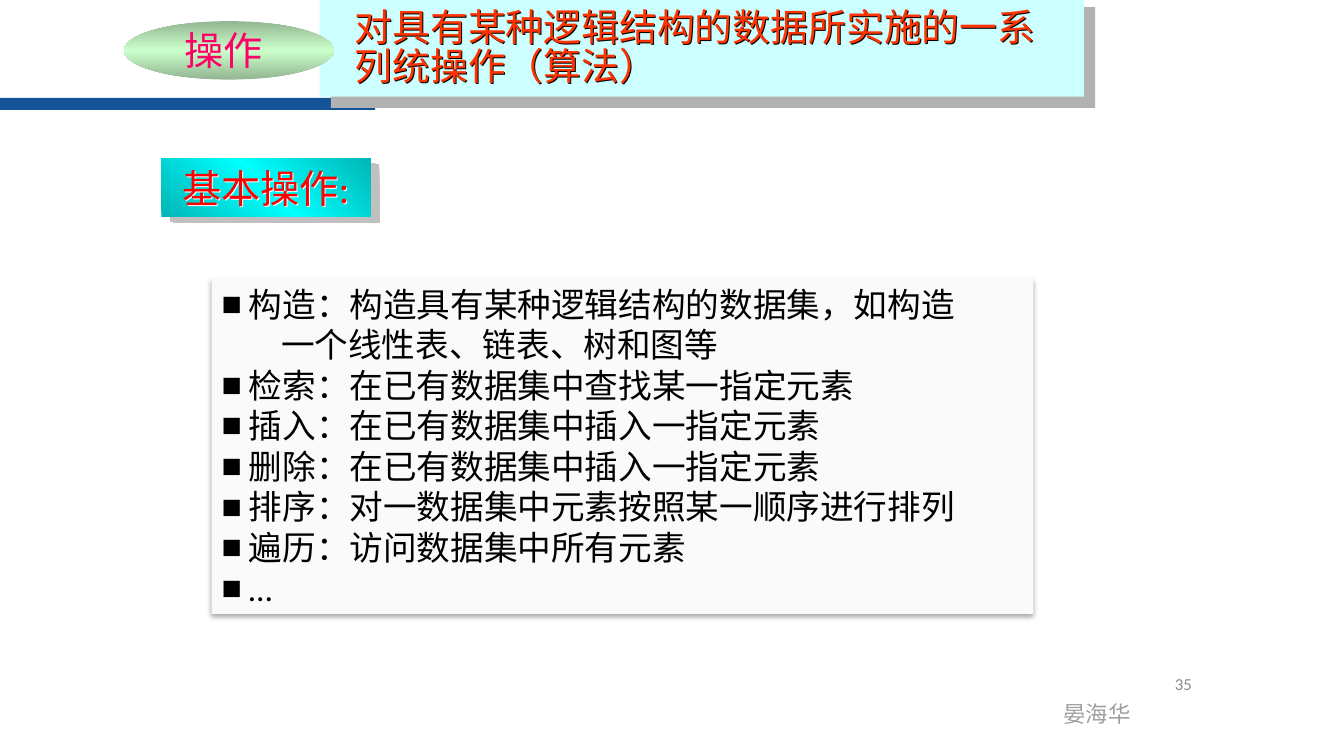
from dataclasses import dataclass
from typing import Optional

from lxml import etree
from pptx import Presentation
from pptx.dml.color import RGBColor
from pptx.enum.shapes import MSO_CONNECTOR, MSO_SHAPE
from pptx.enum.text import MSO_ANCHOR, PP_ALIGN
from pptx.oxml.ns import qn
from pptx.util import Emu, Pt

SCALE = 9144  # 100 px to the inch
LATIN, HAN = "Calibri", "Noto Sans CJK SC"
NAVY = "145396"


@dataclass
class Shade:
    color: str
    alpha: int
    blur: float
    dist: float
    angle: int


@dataclass
class Panel:
    box: tuple
    fill: str
    edge: Optional[str] = None  # outer colour of a three-stop gradient
    angle: int = 0
    shade: Optional[Shade] = None
    kind: MSO_SHAPE = MSO_SHAPE.RECTANGLE


@dataclass
class Label:
    box: tuple
    text: str
    size: int
    color: str
    font: str = LATIN
    inset: int = 10
    wrap: bool = True
    align: PP_ALIGN = PP_ALIGN.LEFT
    anchor: MSO_ANCHOR = MSO_ANCHOR.TOP
    space: Optional[float] = None
    shade: Optional[Shade] = None


def px(n: int) -> Emu:
    return Emu(n * SCALE)


def rgb(color: str) -> RGBColor:
    return RGBColor.from_string(color)


def node(parent, tag: str, **attrs):
    return etree.SubElement(parent, qn(tag), {k: str(v) for k, v in attrs.items()})


def add_shade(shape, shade: Optional[Shade]) -> None:
    shape.shadow.inherit = False
    if shade is None:
        return
    effects = shape.element.spPr.find(qn("a:effectLst"))
    outer = node(effects, "a:outerShdw", blurRad=Pt(shade.blur), dist=Pt(shade.dist),
                 dir=shade.angle * 60000, algn="tl", rotWithShape=0)
    tint = node(outer, "a:srgbClr", val=shade.color)
    node(tint, "a:alpha", val=shade.alpha * 1000)


def add_panel(shapes, panel: Panel):
    shape = shapes.add_shape(panel.kind, *map(px, panel.box))
    if panel.edge:
        shape.fill.gradient()
        grad = shape.element.spPr.find(qn("a:gradFill"))
        for child in list(grad):
            grad.remove(child)
        stops = node(grad, "a:gsLst")
        for pos, color in ((0, panel.edge), (50, panel.fill), (100, panel.edge)):
            node(node(stops, "a:gs", pos=pos * 1000), "a:srgbClr", val=color)
        node(grad, "a:lin", ang=panel.angle * 60000, scaled=0)
    else:
        shape.fill.solid()
        shape.fill.fore_color.rgb = rgb(panel.fill)
    shape.line.fill.background()
    add_shade(shape, panel.shade)
    return shape


def add_run(para, text: str, size: int, color: str, font: str) -> None:
    run = para.add_run()
    run.text = text
    run.font.size = Pt(size)
    run.font.color.rgb = rgb(color)
    run.font.name = font
    node(run.font._element, "a:ea", typeface=HAN)


def add_label(shapes, label: Label) -> None:
    shape = shapes.add_textbox(*map(px, label.box))
    frame = shape.text_frame
    frame.word_wrap = label.wrap
    frame.vertical_anchor = label.anchor
    frame.margin_left = px(label.inset)
    para = frame.paragraphs[0]
    para.alignment = label.align
    if label.space:
        para.line_spacing = label.space
    add_run(para, label.text, label.size, label.color, label.font)
    if label.shade:
        add_shade(shape, label.shade)


def add_list(shape, items: list) -> None:
    frame = shape.text_frame
    frame.word_wrap = True
    frame.vertical_anchor = MSO_ANCHOR.TOP
    for i, (name, text) in enumerate(items):
        para = frame.paragraphs[0] if i == 0 else frame.add_paragraph()
        para.alignment = PP_ALIGN.LEFT
        props = para._p.get_or_add_pPr()
        props.set("marL", str(px(27 if name else 59)))
        props.set("indent", str(px(-27 if name else 0)))
        if name:
            node(props, "a:buFont", typeface="Arial")
            node(props, "a:buChar", char="■")
            add_run(para, name, 24, "000000", LATIN)
        else:
            node(props, "a:buNone")
        if text:
            add_run(para, text, 24, "000000", HAN)
        para.line_spacing = Pt(29)


# Each group holds a panel and the label on it
GROUPS = [
    (Panel((317, -4, 758, 100), "CCFFFF", shade=Shade("B2B2B2", 100, 0, 11.3, 45)),
     Label((342, 6, 730, 88), "对具有某种逻辑结构的数据所实施的一系列统操作（算法）", 27,
           "FF3300", HAN, space=0.85, shade=Shade("000000", 100, 0, 1, 45))),
    (Panel((123, 21, 208, 58), "CCFFCC", "92B692", 90, kind=MSO_SHAPE.OVAL),
     Label((137, 21, 197, 57), "操作", 28, "FF0066", inset=46)),
    (Panel((160, 157, 208, 58), "00FFFF", "00B6B6", 315, Shade("C0C0C0", 100, 0, 7.2, 34)),
     Label((171, 158, 191, 57), "基本操作:", 28, "FF0000", wrap=False,
           shade=Shade("FFFFFF", 100, 0, 1, 45))),
]
FOOTER = [
    Label((1045, 690, 88, 37), "晏海华", 16, "9F9F9F", wrap=False),
    Label((892, 658, 300, 40), "35", 12, "8C8C8C", align=PP_ALIGN.RIGHT,
          anchor=MSO_ANCHOR.MIDDLE),
]
ITEMS = [
    ("构造：", "构造具有某种逻辑结构的数据集，如构造"),
    ("", "一个线性表、链表、树和图等"),
    ("检索：", "在已有数据集中查找某一指定元素"),
    ("插入：", "在已有数据集中插入一指定元素"),
    ("删除：", "在已有数据集中插入一指定元素"),
    ("排序：", "对一数据集中元素按照某一顺序进行排列"),
    ("遍历：", "访问数据集中所有元素"),
    ("…", ""),
]


def main() -> None:
    deck = Presentation()
    deck.slide_width, deck.slide_height = px(1333), px(750)
    shapes = deck.slides.add_slide(deck.slide_layouts[6]).shapes

    # Header bar and rule
    add_panel(shapes, Panel((0, 97, 372, 12), NAVY))
    rule = shapes.add_connector(MSO_CONNECTOR.STRAIGHT, px(368), px(102), px(662), px(102))
    rule.line.color.rgb = rgb(NAVY)
    rule.line.width = Pt(2.25)
    node(rule._element.spPr, "a:effectLst")

    # Footer
    for label in FOOTER:
        add_label(shapes, label)

    # Title, topic and section heading
    for panel, label in GROUPS:
        group = shapes.add_group_shape()
        add_panel(group.shapes, panel)
        add_label(group.shapes, label)

    # List of operations
    card = add_panel(shapes, Panel((210, 276, 815, 333), "FAFAFA",
                                   shade=Shade("000000", 32, 3.5, 2.2, 90)))
    add_list(card, ITEMS)
    deck.save("out.pptx")


if __name__ == "__main__":
    main()
